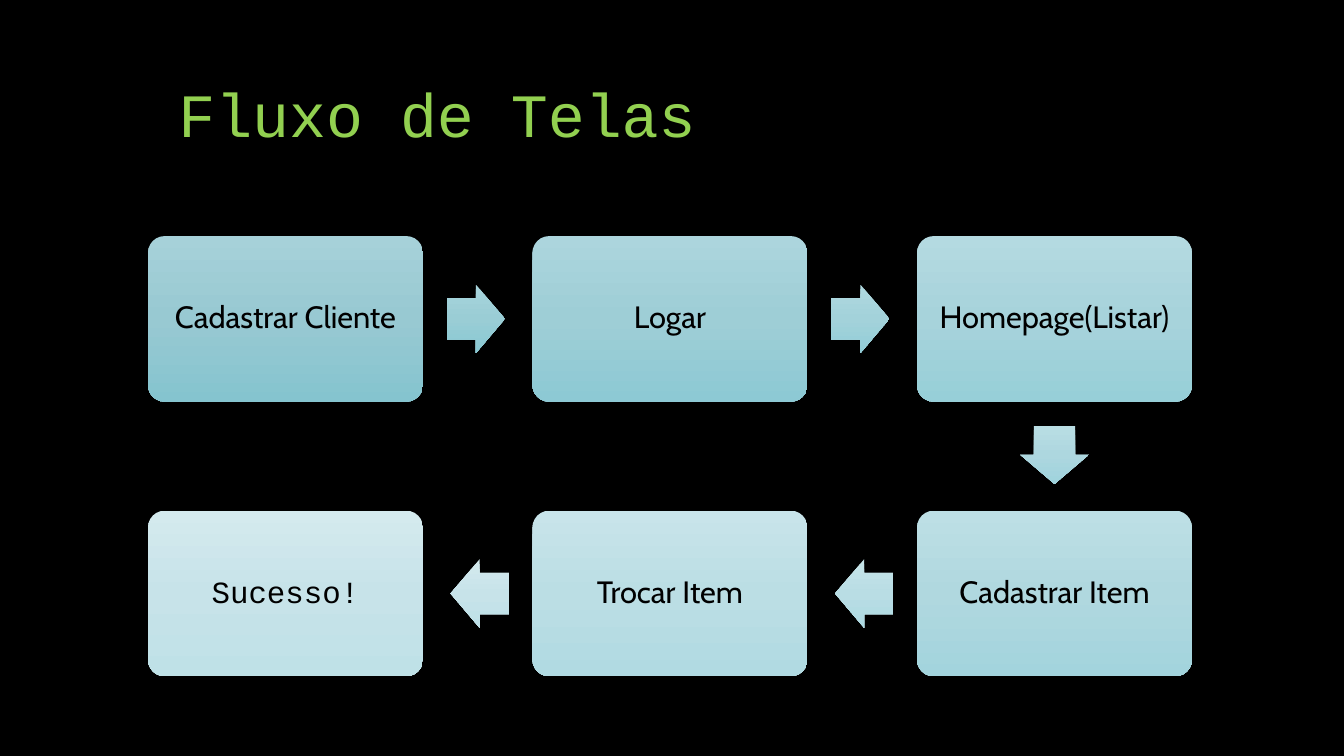
from copy import deepcopy
from pptx import Presentation
from pptx.dml.color import RGBColor
from pptx.enum.shapes import MSO_SHAPE
from pptx.enum.text import MSO_ANCHOR, MSO_AUTO_SIZE, PP_ALIGN
from pptx.oxml.ns import qn
from pptx.util import Cm, Pt

BLACK = RGBColor(0x00, 0x00, 0x00)
GREEN = RGBColor(0x92, 0xD0, 0x50)
SANS = "Cabin"
MONO = "Courier New"

STEPS = [
    ("Cadastrar Cliente", SANS, "A6D1D9 98C9D2 85C4CF"),
    ("Logar", SANS, "ACD5DD 9ECED6 8DC9D4"),
    ("Homepage(Listar)", SANS, "B4DAE1 A7D3DB 97CFD8"),
    ("Cadastrar Item", SANS, "BDDFE5 B0D8DF A3D4DD"),
    ("Trocar Item", SANS, "C8E4EA BBDEE4 B1DAE2"),
    ("Sucesso!", MONO, "D4EAEE C7E3E9 BFE1E7"),
]
LINKS = [
    (0, "A8D4DC 9ACDD5 88C8D3"),
    (0, "B0D9E0 A3D2DA 92CDD8"),
    (90, "BADEE4 ADD7DF 9FD3DD"),
    (180, "C6E4E9 B9DDE4 AEDAE2"),
    (180, "D4EAEE C7E3E9 BEE1E8"),
]
COLS = 3
CARD = (6.93, 4.17)
ARROW = (1.47, 1.73)
NEAR = 0.495


def shade(shape, tones):
    fill = shape.fill
    fill.gradient()
    fill.gradient_angle = 270
    grad = shape._element.spPr.find(qn("a:gradFill"))
    grad.set("rotWithShape", "0")
    stops = grad.find(qn("a:gsLst"))
    stops.append(deepcopy(stops[0]))
    for num, (stop, tone) in enumerate(zip(fill.gradient_stops, tones.split())):
        stop.position = num / 2
        stop.color.rgb = RGBColor.from_string(tone)


def write(frame, text, font, size, color, align):
    frame.word_wrap = True
    para = frame.paragraphs[0]
    para.alignment = align
    para.line_spacing = 0.9
    run = para.add_run()
    run.text = text
    run.font.name = font
    run.font.size = Pt(size)
    run.font.color.rgb = color


def put(slide, kind, mid, size, tones):
    (x, y), (w, h) = mid, size
    shape = slide.shapes.add_shape(kind, Cm(x - w / 2), Cm(y - h / 2), Cm(w), Cm(h))
    shape.shadow.inherit = False
    shape.line.fill.background()
    shade(shape, tones)
    return shape


def add_title(slide, left, top, width, height):
    title = slide.shapes.title
    title.left, title.top = Cm(left), Cm(top)
    title.width, title.height = Cm(width), Cm(height)
    frame = title.text_frame
    frame.auto_size = MSO_AUTO_SIZE.NONE
    frame.vertical_anchor = MSO_ANCHOR.BOTTOM
    write(frame, "Fluxo de Telas", MONO, 44, GREEN, PP_ALIGN.LEFT)


def add_card(slide, mid, text, font, tones):
    card = put(slide, MSO_SHAPE.ROUNDED_RECTANGLE, mid, CARD, tones)
    card.adjustments[0] = 0.1
    frame = card.text_frame
    frame.vertical_anchor = MSO_ANCHOR.MIDDLE
    frame.margin_left = frame.margin_right = Cm(0.35)
    frame.margin_top = frame.margin_bottom = Cm(0.35)
    write(frame, text, font, 22, BLACK, PP_ALIGN.CENTER)


def add_link(slide, start, end, turn, tones):
    mid = [a + (b - a) * NEAR for a, b in zip(start, end)]
    arrow = put(slide, MSO_SHAPE.RIGHT_ARROW, mid, ARROW, tones)
    arrow.adjustments[0] = 0.6
    arrow.adjustments[1] = 0.5
    arrow.rotation = turn


def add_flow(slide, left, top, width, height):
    wide, high = CARD
    step = (width - wide) / (COLS - 1)
    drop = height - high
    mids = []
    for num in range(len(STEPS)):
        row, col = divmod(num, COLS)
        if row % 2:
            col = COLS - 1 - col
        mids.append((left + wide / 2 + col * step, top + high / 2 + row * drop))
    for mid, (text, font, tones) in zip(mids, STEPS):
        add_card(slide, mid, text, font, tones)
    for start, end, (turn, tones) in zip(mids, mids[1:], LINKS):
        add_link(slide, start, end, turn, tones)


def main():
    deck = Presentation()
    deck.slide_width, deck.slide_height = Cm(33.87), Cm(19.05)
    slide = deck.slides.add_slide(deck.slide_layouts[5])
    back = slide.background.fill
    back.solid()
    back.fore_color.rgb = BLACK
    add_title(slide, 4.24, 0.76, 25.4, 3.18)
    add_flow(slide, 3.73, 5.95, 26.31, 11.09)
    deck.save("out.pptx")


if __name__ == "__main__":
    main()
